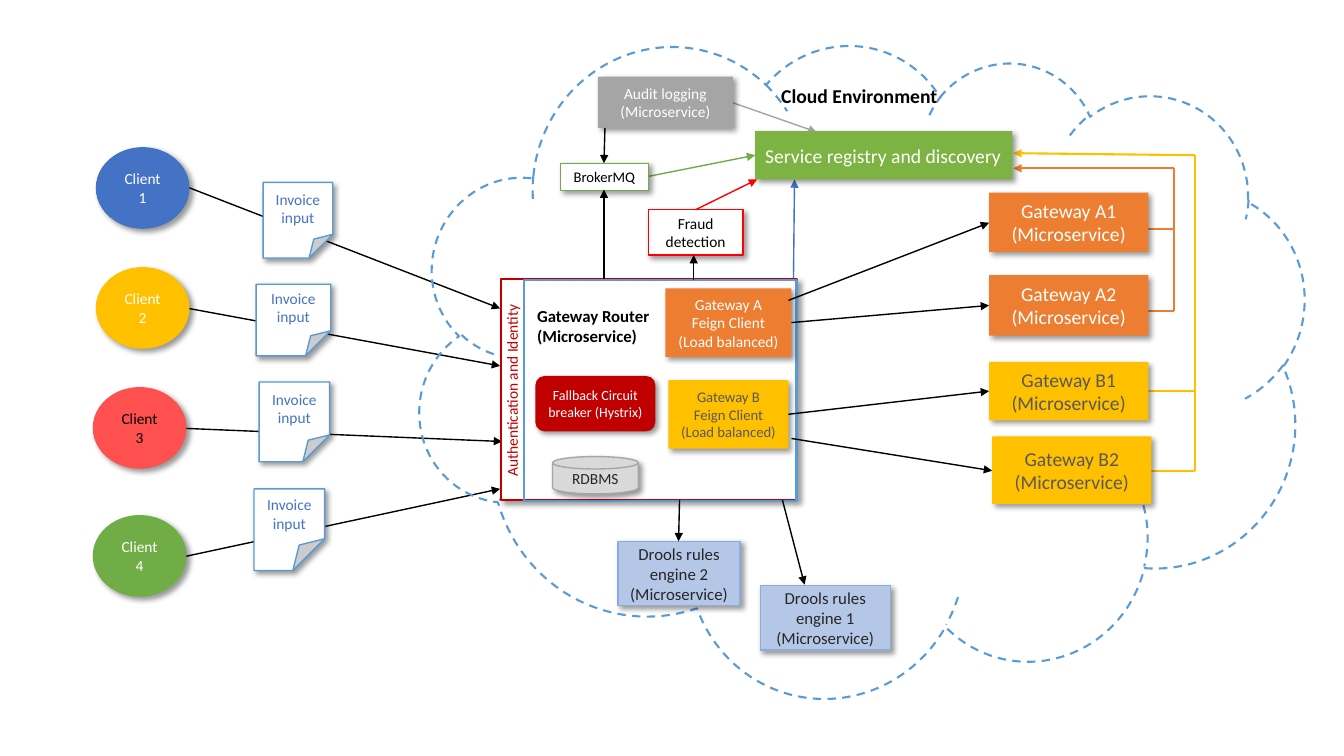
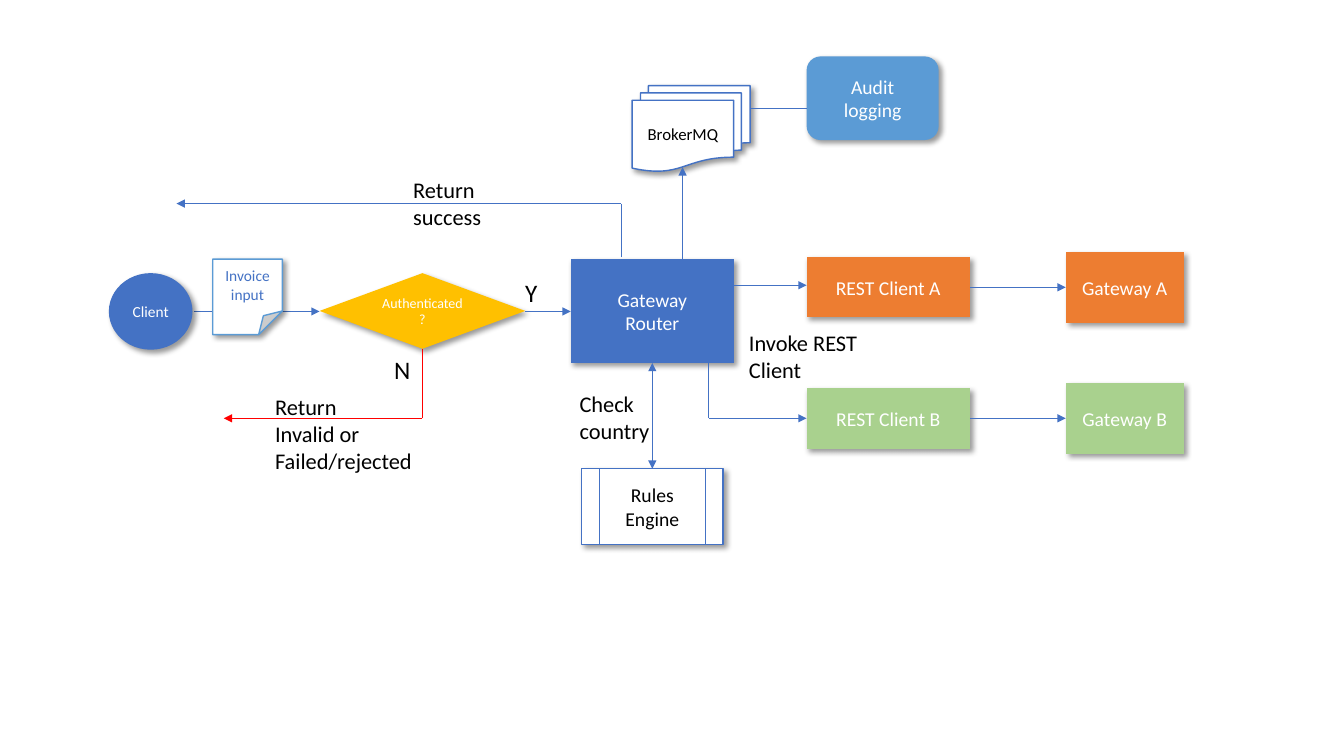
from dataclasses import dataclass

from lxml import etree
from pptx import Presentation
from pptx.dml.color import RGBColor
from pptx.enum.dml import MSO_LINE
from pptx.enum.shapes import MSO_CONNECTOR, MSO_SHAPE
from pptx.enum.text import MSO_ANCHOR, MSO_AUTO_SIZE, PP_ALIGN
from pptx.oxml.ns import qn
from pptx.util import Pt

PX = 9144  # one px is 1/100 inch
SLIDE_SIZE = (1333, 750)

STRAIGHT, DASH = MSO_CONNECTOR.STRAIGHT, MSO_LINE.DASH
MIDDLE, FIT_TEXT = MSO_ANCHOR.MIDDLE, MSO_AUTO_SIZE.SHAPE_TO_FIT_TEXT
CENTER, LEFT = PP_ALIGN.CENTER, PP_ALIGN.LEFT
RECT, ROUNDED, OVAL = MSO_SHAPE.RECTANGLE, MSO_SHAPE.ROUNDED_RECTANGLE, MSO_SHAPE.OVAL
NOTE, CLOUD = MSO_SHAPE.FOLDED_CORNER, MSO_SHAPE.CLOUD
PROCESS, DECISION = MSO_SHAPE.FLOWCHART_PROCESS, MSO_SHAPE.FLOWCHART_DECISION
PREDEFINED = MSO_SHAPE.FLOWCHART_PREDEFINED_PROCESS
DOCUMENTS, DISK = MSO_SHAPE.FLOWCHART_MULTIDOCUMENT, MSO_SHAPE.FLOWCHART_MAGNETIC_DISK


class T:
    """Theme: font, colours and type sizes."""
    font = "Calibri"
    white, black, ink = "FFFFFF", "000000", "262626"
    blue, sky, pale_blue, mid_blue = "4472C4", "5B9BD5", "B4C7E7", "8FAADC"
    amber, orange = "FFC000", "ED7D31"
    coral, red, crimson = "FF5050", "FF0000", "C00000"
    green, lime, pale_green = "70AD47", "7CB342", "A9D18E"
    gray, light_gray, edge_gray, dark_gray = "A5A5A5", "D9D9D9", "A6A6A6", "595959"
    tiny, compact, small, medium = 10, 10.5, 11, 12
    large, label, answer = 14, 16, 18


@dataclass(frozen=True)
class Style:
    preset: int
    fill: str = ""
    color: str = T.white
    size: float = T.small
    edge: str = ""
    edge_width: float = 1
    dash: bool = False
    shadow: bool = True
    align: int = CENTER
    tilt: int = 0


STYLES = {
    "client blue": Style(OVAL, T.blue),
    "client amber": Style(OVAL, T.amber),
    "client coral": Style(OVAL, T.coral, T.black),
    "client green": Style(OVAL, T.green),
    "invoice": Style(NOTE, T.white, T.blue, edge=T.sky),
    "cloud": Style(CLOUD, edge=T.sky, edge_width=1.5, dash=True, shadow=False, tilt=13),
    "gateway a": Style(RECT, T.orange, size=T.large),
    "gateway b": Style(RECT, T.amber, T.dark_gray, T.large),
    "registry": Style(RECT, T.lime, size=T.large, align=LEFT),
    "audit": Style(RECT, T.gray),
    "queue": Style(RECT, T.white, T.black, T.compact, T.green),
    "rules": Style(PROCESS, T.pale_blue, T.ink, T.medium, T.mid_blue),
    "identity": Style(PROCESS, T.white, edge=T.crimson, edge_width=1.5),
    "router frame": Style(PROCESS, edge=T.sky, edge_width=1.5, shadow=False),
    "feign a": Style(RECT, T.orange),
    "feign b": Style(RECT, T.amber, T.dark_gray, T.compact),
    "fallback": Style(ROUNDED, T.crimson, size=T.tiny),
    "database": Style(DISK, T.light_gray, T.ink, edge=T.edge_gray),
    "fraud": Style(RECT, T.white, T.black, edge=T.red),
    "router": Style(PROCESS, T.blue, size=T.large),
    "decision": Style(DECISION, T.amber, size=T.tiny),
    "rules call": Style(PREDEFINED, T.white, T.black, T.large, T.blue),
    "flow a": Style(PROCESS, T.orange, size=T.large),
    "flow b": Style(PROCESS, T.pale_green, size=T.large),
    "flow audit": Style(ROUNDED, T.sky, size=T.large),
    "documents": Style(DOCUMENTS, T.white, T.black, T.medium, T.blue),
}

INVOICE = "Invoice\ninput"
SERVICE = "(Microservice)"
FEIGN = "Feign Client\n(Load balanced)"

# Boxes: style, left, top, width, height, text, then corner fold in percent if any.
# Routes: colour, width, heads ("end", "both" or ""), points.
# Labels: left, top, width, height, text, size, then colour, bold, rotation if special.
ARCHITECTURE = {
    "back routes": [
        (T.black, 1, "end", [(187, 186), (496, 306)]),
        (T.black, 1, "end", [(187, 306), (496, 363)]),
        (T.black, 1, "end", [(184, 425), (498, 438)]),
        (T.black, 1, "end", [(184, 552), (496, 485)]),
        (T.blue, 1, "end", [(787, 278), (788, 178)]),
        (T.gray, 1, "end", [(727, 102), (810, 131)]),
        (T.green, 1, "end", [(643, 175), (749, 154)]),
        (T.orange, 1.5, "end", [(1139, 309), (1164, 309), (1164, 167), (1005, 167)]),
        (T.orange, 1.5, "", [(1135, 227), (1164, 227)]),
        (T.amber, 1.5, "end", [(1142, 467), (1185, 467), (1185, 154), (1005, 152)]),
        (T.amber, 1.5, "", [(1139, 388), (1185, 388)]),
    ],
    "boxes": [
        ("client blue", 95, 146, 93, 81, "Client 1"),
        ("client amber", 95, 265, 93, 81, "Client 2"),
        ("client coral", 92, 384, 93, 81, "Client 3"),
        ("client green", 92, 511, 93, 81, "Client 4"),
        ("invoice", 261, 181, 69, 75, INVOICE, 34),
        ("invoice", 254, 282, 74, 71, INVOICE, 35),
        ("invoice", 257, 379, 70, 79, INVOICE, 38),
        ("invoice", 252, 485, 70, 81, INVOICE, 45),
        ("cloud", 416, 33, 874, 661, ""),
        ("gateway a", 981, 191, 158, 59, f"Gateway A1 {SERVICE}"),
        ("gateway a", 981, 273, 158, 60, f"Gateway A2 {SERVICE}"),
        ("gateway b", 981, 359, 158, 58, f"Gateway B1 {SERVICE}"),
        ("gateway b", 984, 433, 158, 67, f"Gateway B2 {SERVICE}"),
        ("registry", 749, 130, 255, 48, "Service registry and discovery"),
        ("audit", 593, 76, 134, 51, f"Audit logging\n{SERVICE}"),
        ("queue", 556, 162, 87, 27, "BrokerMQ"),
        ("rules", 754, 581, 129, 64, f"Drools rules engine 1\n{SERVICE}"),
        ("rules", 613, 537, 121, 64, f"Drools rules engine 2\n{SERVICE}"),
        ("identity", 497, 277, 293, 219, ""),
        ("router frame", 520, 278, 270, 219, ""),
        ("feign a", 660, 286, 125, 68, f"Gateway A\n{FEIGN}"),
        ("feign b", 663, 377, 119, 68, f"Gateway B\n{FEIGN}"),
        ("fallback", 531, 373, 119, 55, "Fallback Circuit breaker (Hystrix)"),
        ("database", 548, 453, 85, 37, "RDBMS"),
        ("fraud", 643, 208, 94, 45, "Fraud detection"),
    ],
    "front routes": [
        (T.black, 1, "end", [(599, 277), (599, 188)]),
        (T.black, 1, "end", [(600, 127), (599, 162)]),
        (T.black, 1, "end", [(674, 496), (673, 537)]),
        (T.black, 1, "end", [(776, 496), (798, 580)]),
        (T.black, 1, "end", [(785, 435), (984, 467)]),
        (T.black, 1, "end", [(782, 411), (981, 388)]),
        (T.black, 1, "end", [(785, 320), (981, 303)]),
        (T.black, 1, "end", [(782, 298), (981, 221)]),
        (T.black, 1, "end", [(688, 278), (688, 253)]),
        (T.red, 1, "end", [(690, 208), (751, 178)]),
    ],
    "labels": [
        (765, 78, 176, 34, "Cloud Environment", T.large, T.black, True),
        (523, 298, 134, 50, f"Gateway Router\n{SERVICE}", T.medium, T.black, True),
        (412, 373, 192, 29, "Authentication and Identity", T.small, T.crimson, False, 270),
    ],
}

REQUEST_FLOW = {
    "back routes": [
        (T.blue, 0.5, "end", [(192, 309), (317, 309)]),
    ],
    "boxes": [
        ("router", 566, 257, 162, 103, "Gateway\nRouter"),
        ("client blue", 108, 271, 83, 76, "Client"),
        ("invoice", 211, 257, 69, 75, INVOICE, 34),
        ("decision", 317, 271, 204, 75, "Authenticated?"),
        ("rules call", 577, 465, 140, 75, "Rules Engine"),
        ("flow a", 800, 255, 162, 60, "REST Client A"),
        ("flow a", 1057, 250, 117, 70, "Gateway A"),
        ("flow b", 800, 385, 162, 60, "REST Client B"),
        ("flow b", 1057, 380, 117, 70, "Gateway B"),
        ("flow audit", 800, 56, 131, 83, "Audit\nlogging"),
        ("documents", 627, 85, 117, 85, "BrokerMQ"),
    ],
    "front routes": [
        (T.blue, 0.5, "end", [(521, 309), (566, 309)]),
        (T.red, 0.5, "end", [(419, 346), (419, 415), (222, 415)]),
        (T.blue, 0.5, "both", [(647, 360), (647, 465)]),
        (T.blue, 0.5, "end", [(728, 283), (800, 283)]),
        (T.blue, 0.5, "end", [(703, 360), (703, 415), (800, 415)]),
        (T.blue, 0.5, "end", [(962, 285), (1057, 285)]),
        (T.blue, 0.5, "end", [(962, 415), (1057, 415)]),
        (T.blue, 0.5, "end", [(616, 255), (616, 202), (175, 202)]),
        (T.blue, 0.5, "end", [(677, 257), (677, 166)]),
        (T.blue, 0.5, "", [(744, 108), (800, 108)]),
    ],
    "labels": [
        (511, 270, 32, 40, "Y", T.answer),
        (381, 347, 36, 40, "N", T.answer),
        (263, 385, 158, 91, "Return\nInvalid or\nFailed/rejected", T.label),
        (565, 382, 90, 64, "Check\ncountry", T.label),
        (733, 322, 134, 64, "Invoke REST\nClient", T.label),
        (400, 170, 88, 64, "Return\nsuccess", T.label),
    ],
}


def emu(*lengths):
    return [length * PX for length in lengths]


def rgb(color):
    return RGBColor.from_string(color)


def write(frame, text, size, color, align, bold=False):
    for number, words in enumerate(text.split("\n")):
        paragraph = frame.add_paragraph() if number else frame.paragraphs[0]
        paragraph.alignment = align
        run = paragraph.add_run()
        run.text = words
        run.font.name, run.font.size, run.font.bold = T.font, Pt(size), bold
        run.font.color.rgb = rgb(color)


def cast_shadow(properties):
    outer = etree.SubElement(properties.find(qn("a:effectLst")), qn("a:outerShdw"),
                             blurRad=str(Pt(4)), dist=str(Pt(3)), dir="2700000",
                             algn="tl", rotWithShape="0")
    black = etree.SubElement(outer, qn("a:srgbClr"), val=T.black)
    etree.SubElement(black, qn("a:alpha"), val="40000")


def add_box(slide, style_name, left, top, width, height, text, fold=0):
    style = STYLES[style_name]
    box = slide.shapes.add_shape(style.preset, *emu(left, top, width, height))
    box.rotation = style.tilt
    properties = box._element.spPr
    if fold:
        guides = properties.find(qn("a:prstGeom")).find(qn("a:avLst"))
        etree.SubElement(guides, qn("a:gd"), name="adj", fmla=f"val {fold * 1000}")
    for paint, color in ((box.fill, style.fill), (box.line.fill, style.edge)):
        if color:
            paint.solid()
            paint.fore_color.rgb = rgb(color)
        else:
            paint.background()
    if style.edge:
        box.line.width = Pt(style.edge_width)
    if style.dash:
        box.line.dash_style = DASH
    box.shadow.inherit = False
    if style.shadow:
        cast_shadow(properties)
    if text:
        box.text_frame.word_wrap = True
        box.text_frame.vertical_anchor = MIDDLE
        write(box.text_frame, text, style.size, style.color, style.align)


def add_route(slide, color, width, heads, points):
    """Joins the points with straight lines; arrowheads go on the outer ends."""
    last = len(points) - 2
    for number, (start, end) in enumerate(zip(points, points[1:])):
        leg = slide.shapes.add_connector(STRAIGHT, *emu(*start, *end))
        leg.line.color.rgb = rgb(color)
        leg.line.width = Pt(width)
        properties = leg._element.spPr
        outline = properties.find(qn("a:ln"))
        if heads == "both" and number == 0:
            etree.SubElement(outline, qn("a:headEnd"), type="triangle")
        if heads and number == last:
            etree.SubElement(outline, qn("a:tailEnd"), type="triangle")
        etree.SubElement(properties, qn("a:effectLst"))


def add_label(slide, left, top, width, height, text, size,
              color=T.black, bold=False, rotation=0):
    label = slide.shapes.add_textbox(*emu(left, top, width, height))
    label.rotation = rotation
    label.text_frame.word_wrap = False
    label.text_frame.auto_size = FIT_TEXT
    write(label.text_frame, text, size, color, CENTER if rotation else LEFT, bold)


def main():
    deck = Presentation()
    deck.slide_width, deck.slide_height = emu(*SLIDE_SIZE)
    for diagram in (ARCHITECTURE, REQUEST_FLOW):
        slide = deck.slides.add_slide(deck.slide_layouts[6])
        for layer, draw in (("back routes", add_route), ("boxes", add_box),
                            ("front routes", add_route), ("labels", add_label)):
            for row in diagram[layer]:
                draw(slide, *row)
    deck.save("out.pptx")


if __name__ == "__main__":
    main()
